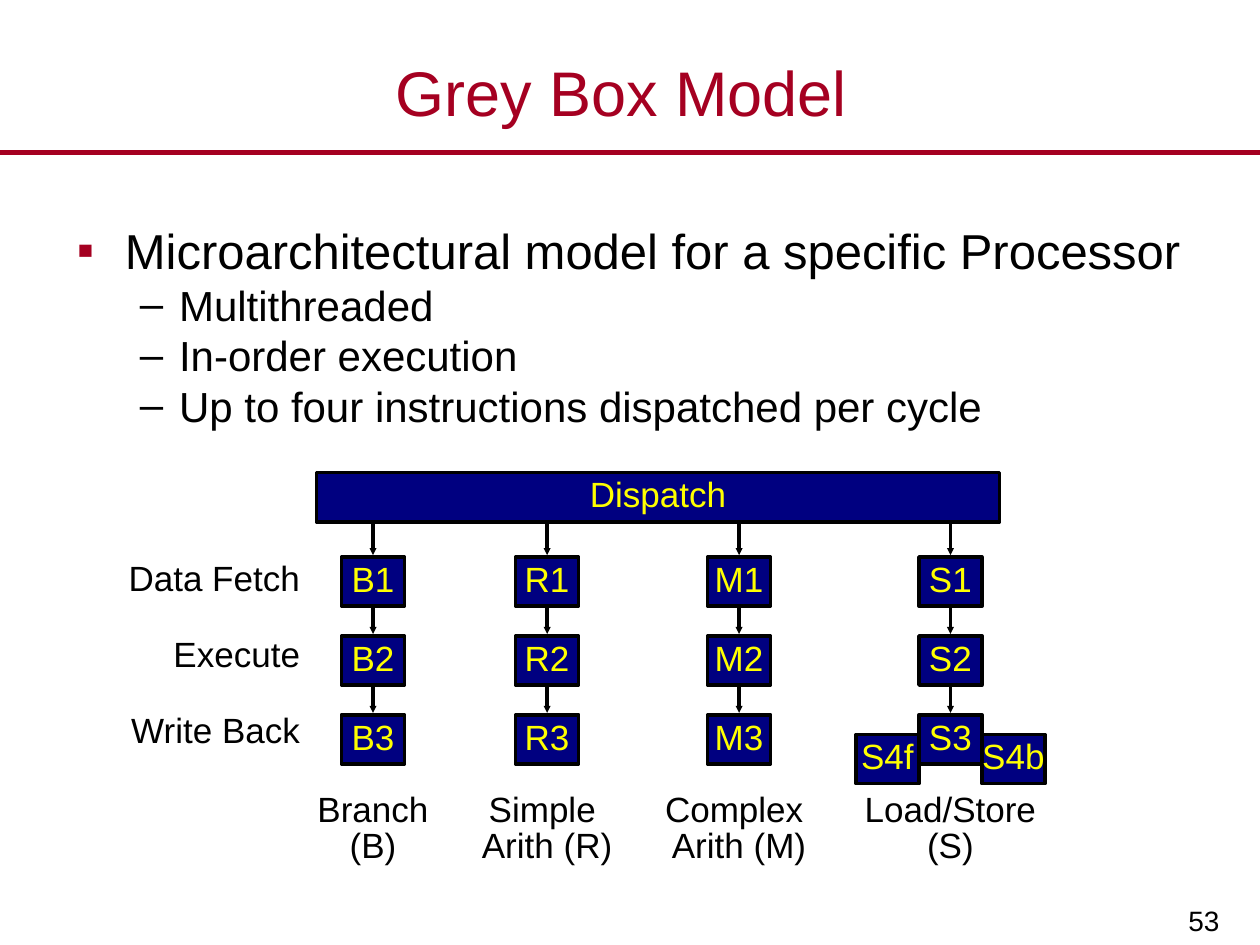
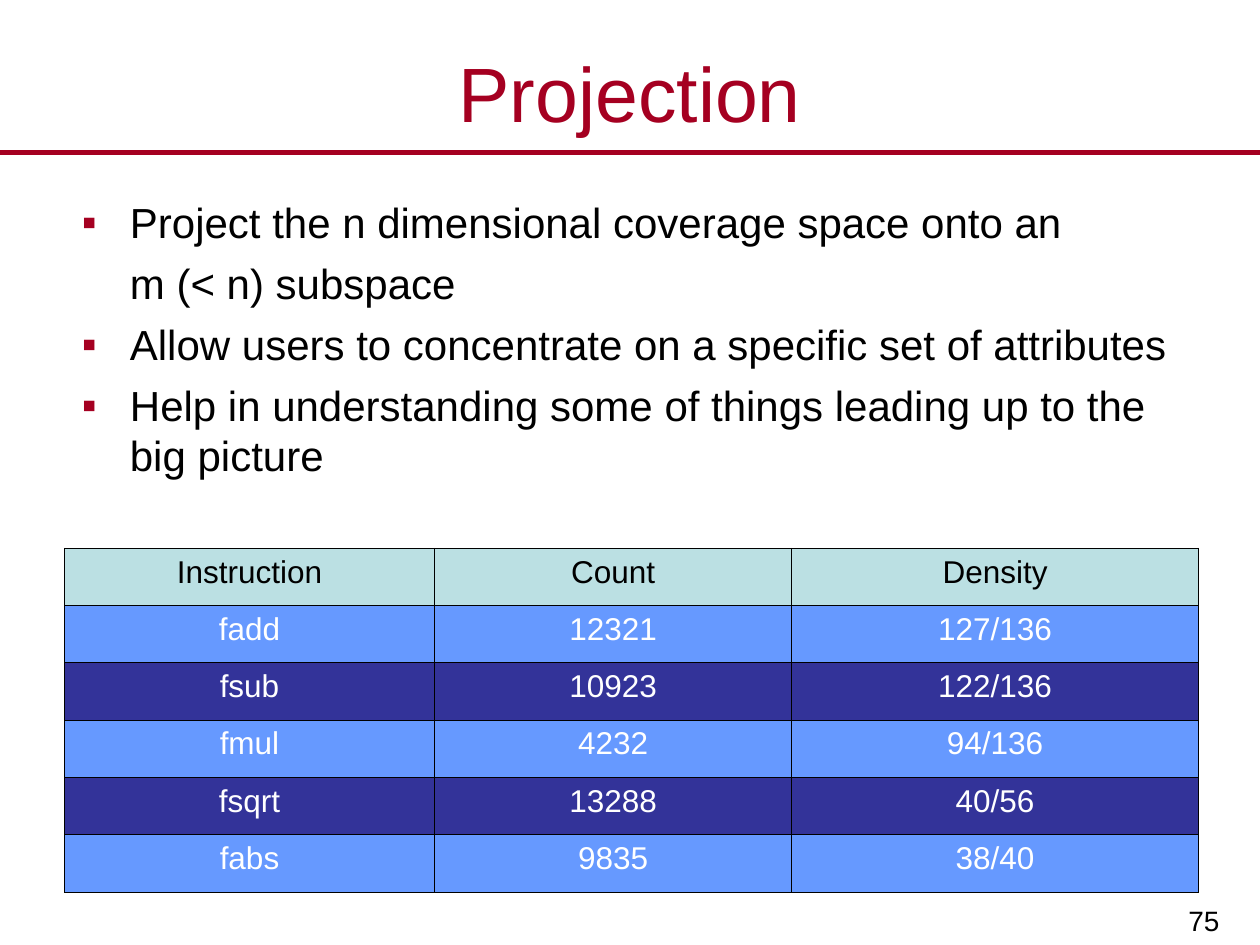
from lxml import etree
from pptx import Presentation
from pptx.dml.color import RGBColor
from pptx.enum.shapes import MSO_CONNECTOR as Connector, MSO_SHAPE as Shape
from pptx.enum.text import MSO_ANCHOR as Anchor, PP_ALIGN as Align
from pptx.oxml.ns import qn
from pptx.util import Cm, Pt

FONT = "Arial"
RED = "A50021"
BLACK = "000000"
WHITE = "FFFFFF"
NAVY = "000080"
YELLOW = "FFFF00"
HEADER_FILL = "BBE0E3"
ROW_FILLS = ["6699FF", "333399"]
SLIDE_WIDTH, SLIDE_HEIGHT = 25.4, 19.05

BULLETS = {
    "square": ("▪", RED, 0.97, -0.97),
    "dash": ("–", BLACK, 2.06, -0.79),
    "none": (None, None, 0.97, 0),
}


def color(value):
    return RGBColor.from_string(value)


def write(para, text, size, ink, align=Align.LEFT, spacing=None):
    para.text = text
    para.alignment = align
    if spacing:
        para.line_spacing = spacing
    for span in para.runs:
        span.font.name = FONT
        span.font.size = Pt(size)
        span.font.color.rgb = color(ink)


def add_text(page, box, text, size, ink=BLACK, align=Align.CENTER,
             anchor=Anchor.TOP, wrap=True, spacing=None):
    holder = page.shapes.add_textbox(*map(Cm, box))
    frame = holder.text_frame
    frame.word_wrap = wrap
    frame.vertical_anchor = anchor
    write(frame.paragraphs[0], text, size, ink, align, spacing)
    return frame


def add_line(page, start, end, ink, width, arrow=False):
    line = page.shapes.add_connector(Connector.STRAIGHT, *map(Cm, start + end))
    line.line.color.rgb = color(ink)
    line.line.width = Pt(width)
    if arrow:
        etree.SubElement(line.line._get_or_add_ln(), qn("a:tailEnd"),
                         type="triangle", w="sm", len="sm")
    etree.SubElement(line._element.spPr, qn("a:effectLst"))


def add_unit(page, box, text):
    unit = page.shapes.add_shape(Shape.FLOWCHART_PROCESS, *map(Cm, box))
    unit.shadow.inherit = False
    unit.fill.solid()
    unit.fill.fore_color.rgb = color(NAVY)
    unit.line.color.rgb = color(BLACK)
    unit.line.width = Pt(2)
    frame = unit.text_frame
    frame.word_wrap = False
    frame.vertical_anchor = Anchor.MIDDLE
    write(frame.paragraphs[0], text, 20, YELLOW, Align.CENTER, 0.85)


def add_page(deck, title, title_size, number):
    page = deck.slides.add_slide(deck.slide_layouts[6])
    add_line(page, (0, 3.07), (SLIDE_WIDTH, 3.07), RED, 3)
    footer = add_text(page, (19.81, 17.6, 5.05, 1.45), number, 16,
                      align=Align.RIGHT, anchor=Anchor.BOTTOM)
    footer.margin_left = footer.margin_right = Cm(0.28)
    footer.margin_top = footer.margin_bottom = Cm(0.15)
    add_text(page, (0, 0.76, SLIDE_WIDTH, 2.18), title, title_size, RED,
             anchor=Anchor.MIDDLE)
    return page


def add_bullets(page, box, items, gap=0):
    frame = page.shapes.add_textbox(*map(Cm, box)).text_frame
    frame.word_wrap = True
    for index, (kind, size, text) in enumerate(items):
        para = frame.add_paragraph() if index else frame.paragraphs[0]
        write(para, text, size, BLACK)
        if index:
            para.space_before = Pt(gap)
        mark, ink, margin, indent = BULLETS[kind]
        props = para._p.get_or_add_pPr()
        props.set("marL", str(Cm(margin)))
        props.set("indent", str(Cm(indent)))
        if mark:
            tint = etree.SubElement(props, qn("a:buClr"))
            etree.SubElement(tint, qn("a:srgbClr"), val=ink)
            etree.SubElement(props, qn("a:buFont"), typeface=FONT)
            etree.SubElement(props, qn("a:buChar"), char=mark)
        else:
            etree.SubElement(props, qn("a:buNone"))


def add_pipeline(page, box):
    left, top, width = box
    unit_width, unit_height = 1.27, 0.99
    first_stage, stage_pitch = top + 1.7, 1.59
    pipes = [
        ("B", 1.14, "Branch\n(B)"),
        ("R", 4.65, "Simple \nArith (R)"),
        ("M", 8.52, "Complex \nArith (M)"),
        ("S", 12.78, "Load/Store\n(S)"),
    ]
    stages = ["Data Fetch", "Execute", "Write Back"]

    add_unit(page, (left, top, width, unit_height), "Dispatch")
    for letter, offset, caption in pipes:
        center = left + offset
        above = top + unit_height
        for index in range(len(stages)):
            stage_top = first_stage + index * stage_pitch
            add_unit(page, (center - unit_width / 2, stage_top, unit_width, unit_height),
                     f"{letter}{index + 1}")
            add_line(page, (center, above), (center, stage_top - 0.04), BLACK, 2, arrow=True)
            above = stage_top + unit_height
        add_text(page, (center - 2, top + 6.35, 4, 1.7), caption, 20,
                 wrap=False, spacing=0.85)

    store_center = left + pipes[-1][1]
    for side, text in ((-1, "S4f"), (1, "S4b")):
        add_unit(page, (store_center + (side - 0.5) * unit_width, top + 5.28,
                        unit_width, unit_height), text)
    for index, stage in enumerate(stages):
        add_text(page, (left - 4.08, first_stage + index * 1.53, 4, 0.97), stage, 20,
                 align=Align.RIGHT, spacing=0.85)


def add_border(cell, ink, width):
    props = cell._tc.get_or_add_tcPr()
    for index, side in enumerate(("lnL", "lnR", "lnT", "lnB")):
        edge = etree.Element(qn(f"a:{side}"), w=str(Pt(width)))
        fill = etree.SubElement(edge, qn("a:solidFill"))
        etree.SubElement(fill, qn("a:srgbClr"), val=ink)
        props.insert(index, edge)


def add_coverage_table(page, box, widths, rows):
    table = page.shapes.add_table(len(rows), len(widths), *map(Cm, box)).table
    for column, width in zip(table.columns, widths):
        column.width = Cm(width)
    for index, values in enumerate(rows):
        table.rows[index].height = Cm(box[3] / len(rows))
        fill = ROW_FILLS[(index - 1) % 2] if index else HEADER_FILL
        ink = WHITE if index else BLACK
        for place, value in enumerate(values):
            cell = table.cell(index, place)
            cell.fill.solid()
            cell.fill.fore_color.rgb = color(fill)
            write(cell.text_frame.paragraphs[0], value, 18, ink, Align.CENTER)
            add_border(cell, BLACK, 0.45)


def add_model_page(deck):
    page = add_page(deck, "Grey Box Model ", 36, "53")
    add_bullets(page, (1.3, 4.32, 22.86, 13.06), [
        ("square", 28, "Microarchitectural model for a specific Processor"),
        ("dash", 24, "Multithreaded"),
        ("dash", 24, "In-order execution"),
        ("dash", 24, "Up to four instructions dispatched per cycle"),
    ])
    add_pipeline(page, (6.38, 9.53, 13.77))


def add_projection_page(deck):
    page = add_page(deck, "Projection", 44, "75")
    add_bullets(page, (1.4, 3.84, 22.86, 6.32), [
        ("square", 24, "Project the n dimensional coverage space onto an"),
        ("none", 24, "m (< n) subspace"),
        ("square", 24, "Allow users to concentrate on a specific set of attributes"),
        ("square", 24, "Help in understanding some of things leading up to the big picture"),
    ], gap=6)
    add_coverage_table(page, (1.3, 11.05, 22.86, 6.93), (7.46, 7.2, 8.2), [
        ("Instruction", "Count", "Density"),
        ("fadd", "12321", "127/136"),
        ("fsub", "10923", "122/136"),
        ("fmul", "4232", "94/136"),
        ("fsqrt", "13288", "40/56"),
        ("fabs", "9835", "38/40"),
    ])


def main():
    deck = Presentation()
    deck.slide_width = Cm(SLIDE_WIDTH)
    deck.slide_height = Cm(SLIDE_HEIGHT)
    add_model_page(deck)
    add_projection_page(deck)
    deck.save("out.pptx")


if __name__ == "__main__":
    main()
